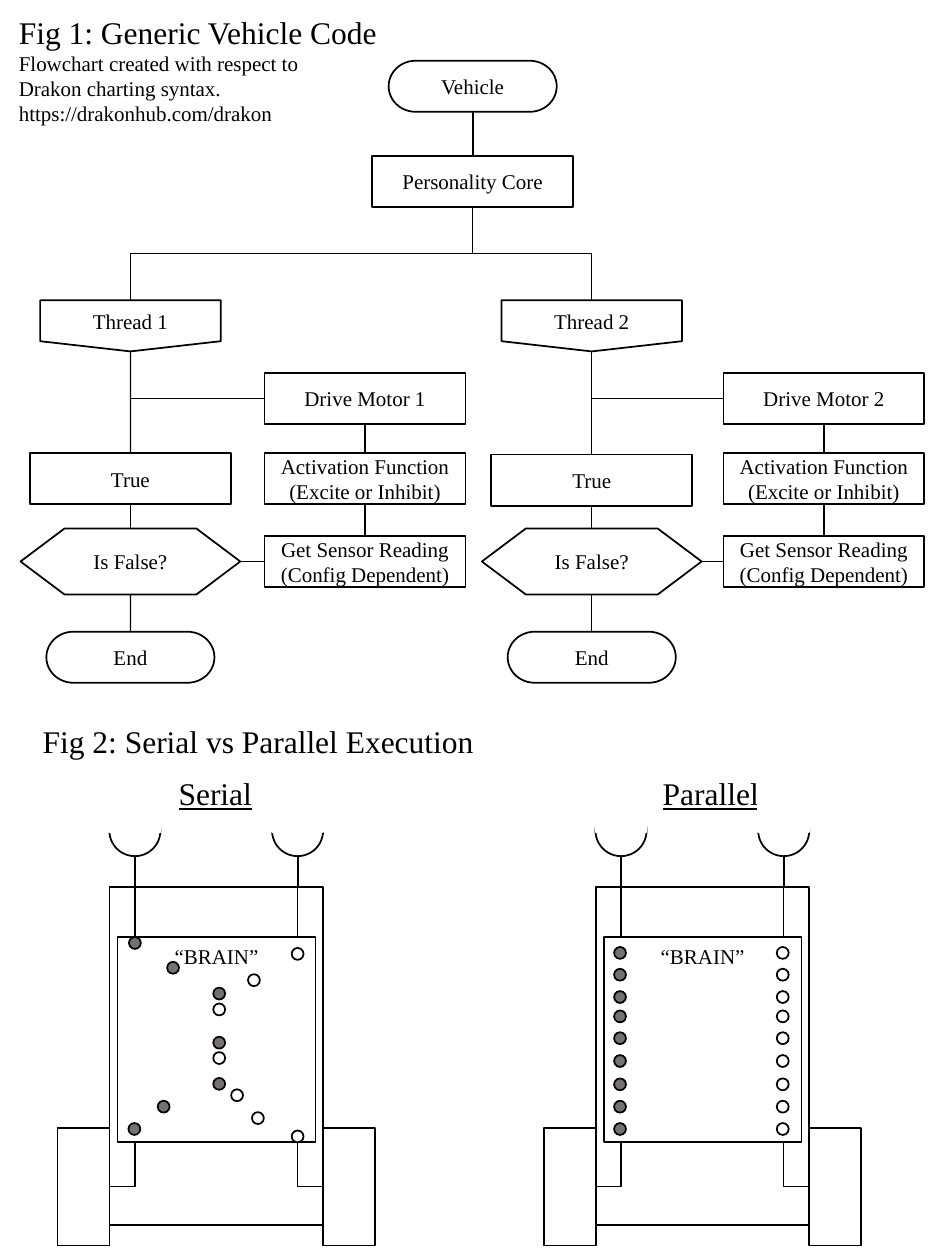
from pptx import Presentation
from pptx.dml.color import RGBColor
from pptx.enum.shapes import MSO_CONNECTOR, MSO_SHAPE
from pptx.enum.text import MSO_ANCHOR, MSO_AUTO_SIZE, PP_ALIGN
from pptx.oxml import parse_xml
from pptx.oxml.ns import nsdecls, qn
from pptx.util import Cm, Pt

STRAIGHT, ELBOW = MSO_CONNECTOR.STRAIGHT, MSO_CONNECTOR.ELBOW
PROCESS = MSO_SHAPE.FLOWCHART_PROCESS
TERMINATOR = MSO_SHAPE.FLOWCHART_TERMINATOR
DECISION = MSO_SHAPE.FLOWCHART_PREPARATION
THREAD = MSO_SHAPE.FLOWCHART_OFFPAGE_CONNECTOR
RECTANGLE, OVAL = MSO_SHAPE.RECTANGLE, MSO_SHAPE.OVAL
CENTER, LEFT_ALIGN = PP_ALIGN.CENTER, PP_ALIGN.LEFT
TOP_ANCHOR, MIDDLE_ANCHOR = MSO_ANCHOR.TOP, MSO_ANCHOR.MIDDLE
FIT_SHAPE = MSO_AUTO_SIZE.SHAPE_TO_FIT_TEXT
TOP, LEFT, BOTTOM, RIGHT = range(4)

FONT = "Times New Roman"
COLORS = {"ink": "000000", "paper": "FFFFFF", "active": "767171"}
BODY_LEFT, BODY_RIGHT, BODY_TOP = 2.21, 6.51, 17.88
SENSOR_CENTERS = (2.72, 6.0)
SENSOR_SIZE, DOT_SIZE, WHEEL_WIDTH = 1.03, 0.24, 1.05
SERIAL_ACTIVE = [(2.72, 19.01), (3.49, 19.51), (4.42, 20.03), (4.42, 21.02),
                 (4.42, 21.85), (3.3, 22.31), (2.71, 22.76)]
SERIAL_IDLE = [(6.0, 19.23), (5.12, 19.76), (4.42, 20.35), (4.42, 21.33),
               (4.78, 22.08), (5.2, 22.54), (6.0, 22.91)]
PARALLEL_ROWS = (19.21, 19.65, 20.1, 20.49, 20.93, 21.39, 21.86, 22.31, 22.76)
PARALLEL_ACTIVE = [(2.7, y) for y in PARALLEL_ROWS]
PARALLEL_IDLE = [(5.98, y) for y in PARALLEL_ROWS]


def color(name):
    """Return the named colour."""
    return RGBColor.from_string(COLORS[name])


def write(text_frame, text, sizes, alignment=CENTER, underline=None):
    """Fill a text frame, giving each paragraph its size."""
    text_frame.text = text
    for paragraph, size in zip(text_frame.paragraphs, sizes):
        paragraph.alignment = alignment
        for run in paragraph.runs:
            run.font.name = FONT
            run.font.size = Pt(size)
            run.font.color.rgb = color("ink")
            run.font.underline = underline


def add_box(shapes, kind, left, top, width, height, text="",
            fill="paper", line="ink", anchor=MIDDLE_ANCHOR):
    """Add an outlined shape with optional centred text."""
    shape = shapes.add_shape(kind, Cm(left), Cm(top), Cm(width), Cm(height))
    shape.shadow.inherit = False
    shape.fill.solid()
    shape.fill.fore_color.rgb = color(fill)
    shape.line.color.rgb = color(line)
    shape.line.width = Pt(1)
    if text:
        shape.text_frame.vertical_anchor = anchor
        write(shape.text_frame, text, (12, 12))
    return shape


def add_node(slide, kind, center_x, center_y, text):
    """Add a flowchart symbol around its centre."""
    width, height = {PROCESS: (4.05, 1.03), TERMINATOR: (3.39, 1.03),
                     DECISION: (4.43, 1.33), THREAD: (3.64, 1.03)}[kind]
    return add_box(slide.shapes, kind, center_x - width / 2,
                   center_y - height / 2, width, height, text)


def add_label(slide, left, top, width, height, text, sizes,
              wrap=False, underline=None):
    """Add a text box that fits its text."""
    box = slide.shapes.add_textbox(Cm(left), Cm(top), Cm(width), Cm(height))
    box.text_frame.word_wrap = wrap
    box.text_frame.auto_size = FIT_SHAPE
    write(box.text_frame, text, sizes, LEFT_ALIGN, underline)


def add_line(slide, kind=STRAIGHT, begin=(0, 0), end=(0, 0), width=0.75):
    """Add a plain connector between two points."""
    connector = slide.shapes.add_connector(
        kind, *(Cm(value) for value in (*begin, *end)))
    connector.line.color.rgb = color("ink")
    connector.line.width = Pt(width)
    connector.element.spPr.append(
        parse_xml(f"<a:effectLst {nsdecls('a')}/>"))
    return connector


def join(slide, first, first_side, second, second_side,
         kind=STRAIGHT, width=0.75):
    """Connect the sides of two shapes."""
    connector = add_line(slide, kind, width=width)
    connector.begin_connect(first, first_side)
    connector.end_connect(second, second_side)
    return connector


def add_branch(slide, core, thread):
    """Connect the core down, across and down to a thread."""
    connector = join(slide, core, BOTTOM, thread, TOP, ELBOW)
    across = connector.end_x - connector.begin_x
    drop = connector.end_y - connector.begin_y
    middle_x = (connector.begin_x + connector.end_x) // 2
    middle_y = (connector.begin_y + connector.end_y) // 2
    connector.width, connector.height = drop, abs(across)
    connector.left = middle_x - drop // 2
    connector.top = middle_y - abs(across) // 2
    frame = connector.element.spPr.find(qn("a:xfrm"))
    frame.set("rot", "5400000" if across < 0 else "16200000")
    frame.set("flipH", "0" if across < 0 else "1")


def add_thread(slide, core, number, spine_x, motor_x, true_y):
    """Add one thread of the flowchart with its motor steps."""
    thread = add_node(slide, THREAD, spine_x, 6.57, f"Thread {number}")
    true = add_node(slide, PROCESS, spine_x, true_y, "True")
    decision = add_node(slide, DECISION, spine_x, 11.32, "Is False?")
    end = add_node(slide, TERMINATOR, spine_x, 13.25, "End")
    motor = add_node(slide, PROCESS, motor_x, 8.03, f"Drive Motor {number}")
    activation = add_node(slide, PROCESS, motor_x, 9.65,
                          "Activation Function\n(Excite or Inhibit)")
    sensor = add_node(slide, PROCESS, motor_x, 11.32,
                      "Get Sensor Reading\n(Config Dependent)")
    add_branch(slide, core, thread)
    for upper, lower in ((thread, true), (true, decision), (decision, end),
                         (motor, activation), (activation, sensor)):
        join(slide, upper, BOTTOM, lower, TOP)
    join(slide, decision, RIGHT, sensor, LEFT)
    add_line(slide, end=(spine_x, 8.03)).begin_connect(motor, LEFT)


def add_sensor(slide, center_x):
    """Add a cup-shaped sensor with its stem."""
    group = slide.shapes.add_group_shape()
    left = center_x - SENSOR_SIZE / 2
    add_box(group.shapes, OVAL, left, 16.23, SENSOR_SIZE, SENSOR_SIZE)
    add_box(group.shapes, RECTANGLE, left, 16, SENSOR_SIZE, 0.77, line="paper")
    add_line(slide, begin=(center_x, 17.26), end=(center_x, BODY_TOP), width=1)


def add_vehicle(slide, offset, active, idle):
    """Add a vehicle with the dots of its brain."""
    add_box(slide.shapes, PROCESS, BODY_LEFT + offset, BODY_TOP,
            BODY_RIGHT - BODY_LEFT, 6.81)
    wheel_places = ((BODY_LEFT - WHEEL_WIDTH, RIGHT), (BODY_RIGHT, LEFT))
    for center_x, (wheel_left, side) in zip(SENSOR_CENTERS, wheel_places):
        wheel = add_box(slide.shapes, PROCESS, wheel_left + offset, 22.74,
                        WHEEL_WIDTH, 2.37)
        add_sensor(slide, center_x + offset)
        wire = add_line(slide, ELBOW, end=(center_x + offset, BODY_TOP))
        wire.begin_connect(wheel, side)
        wire.element.spPr.find(qn("a:prstGeom")).set("prst", "bentConnector2")
    add_box(slide.shapes, RECTANGLE, 2.37 + offset, 18.89, 3.99, 4.13,
            "“BRAIN”", anchor=TOP_ANCHOR)
    for fill, centers in (("active", active), ("paper", idle)):
        for x, y in centers:
            add_box(slide.shapes, OVAL, x + offset - DOT_SIZE / 2,
                    y - DOT_SIZE / 2, DOT_SIZE, DOT_SIZE, fill=fill)


def main():
    """Build the slide and save it."""
    presentation = Presentation()
    presentation.slide_width, presentation.slide_height = Cm(19.05), Cm(25.4)
    slide = presentation.slides.add_slide(presentation.slide_layouts[6])

    add_label(slide, 0.13, 0.13, 10.39, 3.33,
              "Fig 1: Generic Vehicle Code\nFlowchart created with respect to\n"
              "Drakon charting syntax.\vhttps://drakonhub.com/drakon",
              (18, 12, 12), wrap=True)
    vehicle = add_node(slide, TERMINATOR, 9.53, 1.74, "Vehicle")
    core = add_node(slide, PROCESS, 9.53, 3.66, "Personality Core")
    join(slide, vehicle, BOTTOM, core, TOP, width=1)
    add_thread(slide, core, 1, 2.63, 7.36, 9.65)
    add_thread(slide, core, 2, 11.93, 16.61, 9.68)

    add_label(slide, 0.61, 14.43, 9.3, 1.02,
              "Fig 2: Serial vs Parallel Execution", (18,))
    add_label(slide, 3.35, 15.48, 2.01, 1.02, "Serial", (18,), underline=True)
    add_label(slide, 13.11, 15.48, 2.46, 1.02, "Parallel", (18,), underline=True)
    add_vehicle(slide, 0, SERIAL_ACTIVE, SERIAL_IDLE)
    add_vehicle(slide, 9.8, PARALLEL_ACTIVE, PARALLEL_IDLE)
    presentation.save("out.pptx")


if __name__ == "__main__":
    main()
